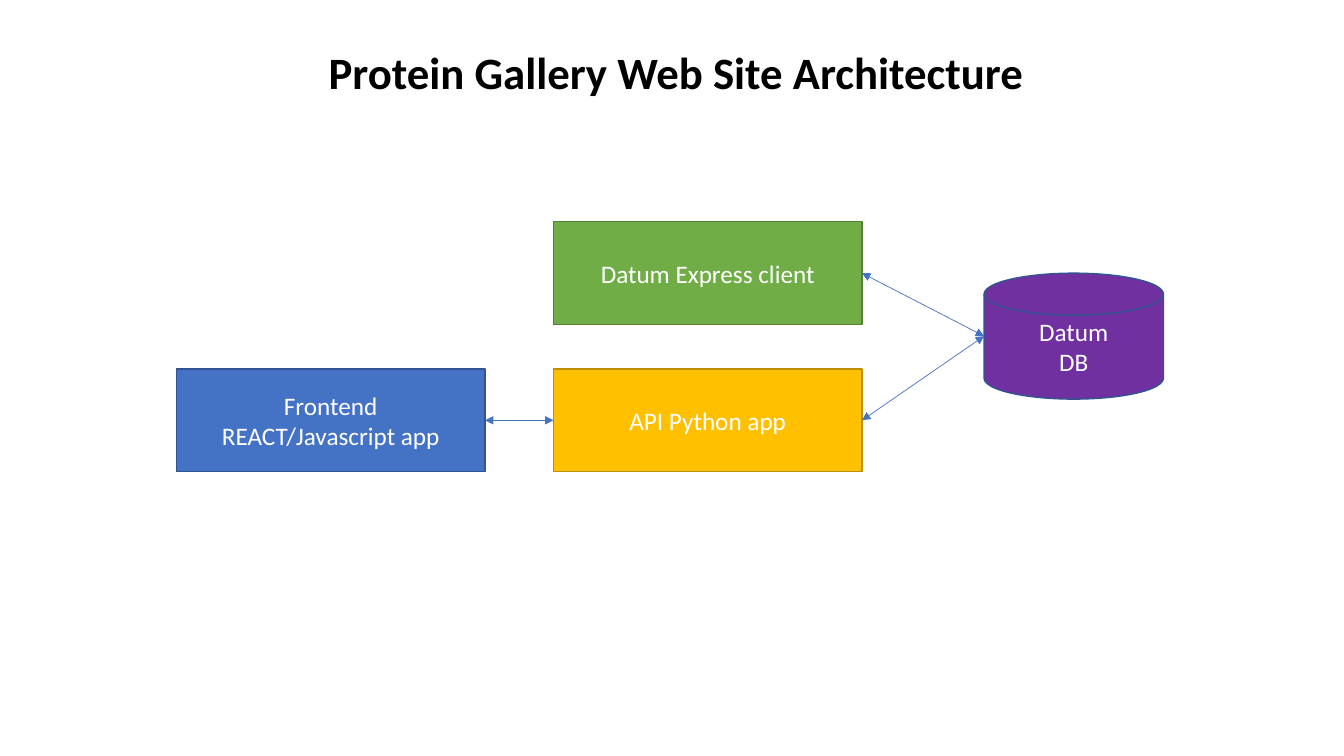
from dataclasses import dataclass

from lxml.etree import SubElement
from pptx import Presentation
from pptx.dml.color import RGBColor
from pptx.enum.shapes import MSO_CONNECTOR, MSO_SHAPE
from pptx.enum.text import MSO_ANCHOR, MSO_AUTO_SIZE, PP_ALIGN
from pptx.oxml.ns import qn
from pptx.util import Inches, Pt


@dataclass(frozen=True)
class Theme:
    """Colours, type sizes and line widths of the slide."""
    font: str = "Calibri"
    title_size: int = 32
    label_size: int = 18
    border: float = 1
    link_width: float = 0.5
    black: str = "000000"
    white: str = "FFFFFF"
    blue: str = "4472C4"
    blue_edge: str = "325491"
    gold: str = "FFC000"
    gold_edge: str = "BD8E00"
    green: str = "70AD47"
    green_edge: str = "538035"
    purple: str = "7030A0"


THEME = Theme()
RECT_LEFT, RECT_RIGHT, DISK_LEFT = 1, 3, 2
BOX_SIZE = (3.06, 1.02)
SERVER_LEFT, LOWER_TOP = 5.49, 3.66


def apply_format(target, values):
    """Set every attribute in values on target."""
    for attribute, value in values.items():
        setattr(target, attribute, value)


def write_text(frame, text, size, colour, bold=False, align=PP_ALIGN.LEFT):
    """Fill a text frame with one formatted paragraph."""
    paragraph = frame.paragraphs[0]
    paragraph.text = text
    paragraph.alignment = align
    for run in paragraph.runs:
        apply_format(run.font, {"name": THEME.font, "size": Pt(size), "bold": bold})
        run.font.color.rgb = RGBColor.from_string(colour)


def add_title(slide, text):
    """Add the slide heading."""
    heading = slide.shapes.add_textbox(
        Inches(3.16), Inches(0.39), Inches(7.21), Inches(0.64))
    apply_format(heading.text_frame, {
        "word_wrap": True, "auto_size": MSO_AUTO_SIZE.SHAPE_TO_FIT_TEXT})
    write_text(heading.text_frame, text, THEME.title_size, THEME.black, bold=True)


def add_component(slide, label, left, top, fill, edge,
                  size=BOX_SIZE, outline=MSO_SHAPE.RECTANGLE):
    """Add one labelled part of the architecture."""
    component = slide.shapes.add_shape(
        outline, *(Inches(length) for length in (left, top, *size)))
    component.shadow.inherit = False
    component.fill.solid()
    component.fill.fore_color.rgb = RGBColor.from_string(fill)
    component.line.color.rgb = RGBColor.from_string(edge)
    component.line.width = Pt(THEME.border)
    apply_format(component.text_frame, {
        "word_wrap": True, "vertical_anchor": MSO_ANCHOR.MIDDLE})
    write_text(component.text_frame, label, THEME.label_size, THEME.white,
               align=PP_ALIGN.CENTER)
    return component


def add_link(slide, source, target, target_site=RECT_LEFT):
    """Join two components, right side to left side, with a two-way arrow."""
    link = slide.shapes.add_connector(MSO_CONNECTOR.STRAIGHT, 0, 0, 0, 0)
    link.begin_connect(source, RECT_RIGHT)
    link.end_connect(target, target_site)
    apply_format(link, {
        "end_x": target.left, "end_y": target.top + target.height // 2})
    link.line.color.rgb = RGBColor.from_string(THEME.blue)
    link.line.width = Pt(THEME.link_width)
    stroke = link.line._get_or_add_ln()
    for end in ("a:headEnd", "a:tailEnd"):
        SubElement(stroke, qn(end), type="triangle")
    SubElement(link._element.spPr, qn("a:effectLst"))


def main():
    """Build and save the architecture slide."""
    deck = Presentation()
    apply_format(deck, {"slide_width": Inches(13.33), "slide_height": Inches(7.5)})
    slide = deck.slides.add_slide(deck.slide_layouts[6])

    frontend = add_component(slide, "Frontend\vREACT/Javascript app",
                             1.75, LOWER_TOP, THEME.blue, THEME.blue_edge)
    api = add_component(slide, "API Python app",
                        SERVER_LEFT, LOWER_TOP, THEME.gold, THEME.gold_edge)
    database = add_component(slide, "Datum\vDB", 9.76, 2.71,
                             THEME.purple, THEME.blue_edge, size=(1.78, 1.25),
                             outline=MSO_SHAPE.FLOWCHART_MAGNETIC_DISK)
    admin_client = add_component(slide, "Datum Express client",
                                 SERVER_LEFT, 2.2, THEME.green, THEME.green_edge)

    for server in (admin_client, api):
        add_link(slide, server, database, DISK_LEFT)
    add_link(slide, frontend, api)
    add_title(slide, "Protein Gallery Web Site Architecture")
    deck.save("out.pptx")


if __name__ == "__main__":
    main()
